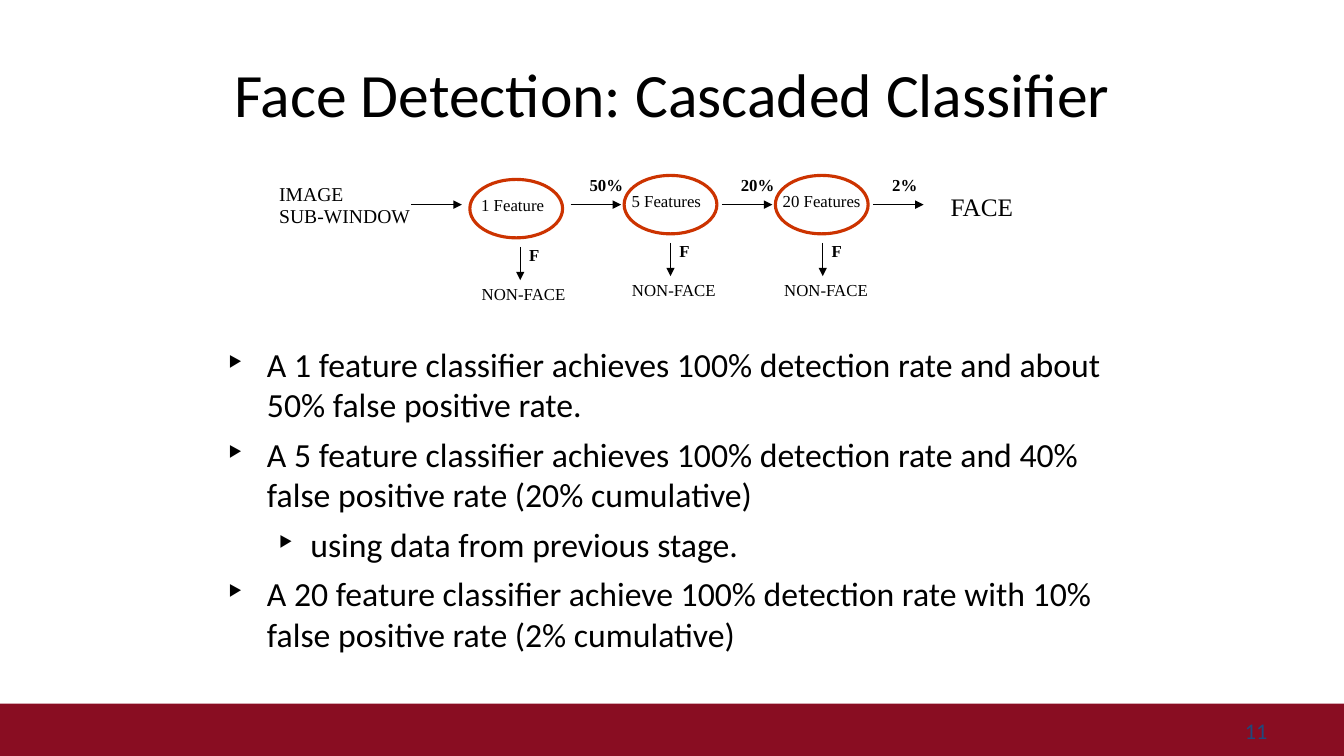
from dataclasses import dataclass

from lxml import etree
from pptx import Presentation
from pptx.dml.color import RGBColor
from pptx.enum.shapes import MSO_CONNECTOR, MSO_SHAPE
from pptx.enum.text import MSO_ANCHOR, PP_ALIGN
from pptx.oxml.ns import qn
from pptx.util import Inches, Pt

RECTANGLE, OVAL = MSO_SHAPE.RECTANGLE, MSO_SHAPE.OVAL
STRAIGHT = MSO_CONNECTOR.STRAIGHT
TOP, MIDDLE = MSO_ANCHOR.TOP, MSO_ANCHOR.MIDDLE
LEFT, CENTER, RIGHT = PP_ALIGN.LEFT, PP_ALIGN.CENTER, PP_ALIGN.RIGHT


@dataclass(frozen=True)
class Theme:
    """Colours, fonts and type sizes of the slide."""
    ink: RGBColor = RGBColor(0, 0, 0)
    footer: RGBColor = RGBColor(0x89, 0x0D, 0x22)
    number: RGBColor = RGBColor(0x1F, 0x49, 0x7D)
    stage: RGBColor = RGBColor(0xCC, 0x33, 0x00)
    text_font: str = "Calibri"
    diagram_font: str = "Times New Roman"
    title_size: float = 44
    body_size: float = 24.1
    number_size: float = 16
    face_size: float = 18
    input_size: float = 14
    label_size: float = 12


THEME = Theme()

BULLETS = [
    (0, "A 1 feature classifier achieves 100% detection rate and about 50% false positive rate."),
    (0, "A 5 feature classifier achieves 100% detection rate and 40% false positive rate (20% cumulative)"),
    (1, "using data from previous stage."),
    (0, "A 20 feature classifier achieve 100% detection rate with 10% false positive rate (2% cumulative)"),
]
INDENTS = [(0.38, -0.38), (0.81, -0.31)]

# Stage: oval left, oval top, label, label left, label width, reject arrow left, pass rate, rate width
STAGES = [
    (1.99, 0.08, "1 Feature", 2.0, 0.83, 2.49, "50%", 0.53),
    (3.52, 0.04, "5 Features", 3.49, 0.9, 3.98, "20%", 0.53),
    (5.02, 0.04, "20 Features", 4.99, 0.98, 5.49, "2%", 0.45),
]


def add_text(page, text, box, *, size, font=THEME.text_font, color=THEME.ink, bold=False,
             align=LEFT, anchor=TOP, wrap=True, spacing=1.0):
    """Add a text box, one paragraph per line of text, and return its frame."""
    frame = page.shapes.add_textbox(*map(Inches, box)).text_frame
    frame.word_wrap = wrap
    frame.vertical_anchor = anchor
    for index, line in enumerate(text.split("\n")):
        para = frame.paragraphs[0] if index == 0 else frame.add_paragraph()
        para.alignment = align
        para.line_spacing = spacing
        span = para.add_run()
        span.text = line
        span.font.name = font
        span.font.size = Pt(size)
        span.font.bold = bold
        span.font.color.rgb = color
    return frame


def add_label(page, text, box, *, size=THEME.label_size, bold=False, align=LEFT):
    """Add an unwrapped label of the cascade diagram."""
    add_text(page, text, box, size=size, bold=bold, align=align,
             font=THEME.diagram_font, wrap=False, spacing=0.93)


def add_arrow(page, left, top, across=0.0, down=0.0):
    """Add a thin arrow running across or down from a point."""
    arrow = page.shapes.add_connector(
        STRAIGHT, *map(Inches, (left, top, left + across, top + down)))
    arrow.line.color.rgb = THEME.ink
    arrow.line.width = Pt(0.75)
    etree.SubElement(arrow.line._get_or_add_ln(), qn("a:tailEnd"), type="triangle")
    etree.SubElement(arrow._element.spPr, qn("a:effectLst"))


def add_bullet(para, level):
    """Give a paragraph its triangle bullet and hanging indent."""
    margin, indent = INDENTS[level]
    properties = para._p.get_or_add_pPr()
    properties.set("marL", str(Inches(margin)))
    properties.set("indent", str(Inches(indent)))
    color = etree.SubElement(properties, qn("a:buClr"))
    etree.SubElement(color, qn("a:srgbClr"), val=str(THEME.ink))
    etree.SubElement(properties, qn("a:buSzPct"), val="45000")
    etree.SubElement(properties, qn("a:buChar"), char="▶")


def add_footer(page, box):
    """Draw the footer band with the slide number."""
    left, top, width, height = box
    band = page.shapes.add_shape(RECTANGLE, *map(Inches, box))
    band.shadow.inherit = False
    band.fill.solid()
    band.fill.fore_color.rgb = THEME.footer
    band.line.fill.background()
    add_text(page, "11", (left + width - 1.66, top + 0.07, 1, 0.4), size=THEME.number_size,
             color=THEME.number, align=RIGHT, anchor=MIDDLE)


def add_stage(page, box, stage):
    """Draw one classifier stage with its reject and pass branches."""
    left, top = box[:2]
    oval_left, oval_top, label, label_left, label_width, drop, rate, rate_width = stage
    stage_top = top + oval_top
    oval = page.shapes.add_shape(
        OVAL, *map(Inches, (left + oval_left, stage_top, 0.92, 0.58)))
    oval.shadow.inherit = False
    oval.fill.background()
    oval.line.color.rgb = THEME.stage
    oval.line.width = Pt(2.25)
    add_label(page, label, (left + label_left, stage_top + 0.12, label_width, 0.29), align=CENTER)
    add_arrow(page, left + drop, stage_top + 0.67, down=0.33)
    add_label(page, "F", (left + drop - 0.01, stage_top + 0.62, 0.3, 0.29), bold=True)
    add_label(page, "NON-FACE", (left + drop - 0.48, stage_top + 1, 1.04, 0.3))
    pass_left = left + 2.99 + 1.5 * STAGES.index(stage)
    add_arrow(page, pass_left, top + 0.33, across=0.5)
    add_label(page, rate, (pass_left + 0.09, top, rate_width, 0.3), bold=True)


def add_cascade(page, box):
    """Draw the cascade from the image sub-window to the face."""
    left, top, width, _ = box
    add_label(page, "IMAGE\nSUB-WINDOW", (left, top + 0.08, 1.51, 0.54), size=THEME.input_size)
    add_arrow(page, left + 1.41, top + 0.33, across=0.5)
    for stage in STAGES:
        add_stage(page, box, stage)
    add_label(page, "FACE", (left + width - 0.83, top + 0.18, 0.83, 0.39), size=THEME.face_size)


def add_body(page, box):
    """Write the bullet list."""
    text = "\n".join(line for _, line in BULLETS)
    frame = add_text(page, text, box, size=THEME.body_size)
    for index, (para, (level, _)) in enumerate(zip(frame.paragraphs, BULLETS)):
        para.level = level
        para.space_before = Pt(6.4 if index else 0)
        add_bullet(para, level)


def main():
    """Build and save the slide."""
    deck = Presentation()
    deck.slide_width, deck.slide_height = Inches(13.33), Inches(7.5)
    page = deck.slides.add_slide(deck.slide_layouts[6])
    add_footer(page, (0, 6.98, 13.33, 0.52))
    add_text(page, "Face Detection: Cascaded Classifier", (0.67, 0.3, 12, 1.25),
             size=THEME.title_size, align=CENTER, anchor=MIDDLE)
    add_body(page, (2.17, 3.36, 9, 3.37))
    add_cascade(page, (2.67, 1.7, 7.49, 1.38))
    deck.save("out.pptx")


if __name__ == "__main__":
    main()
